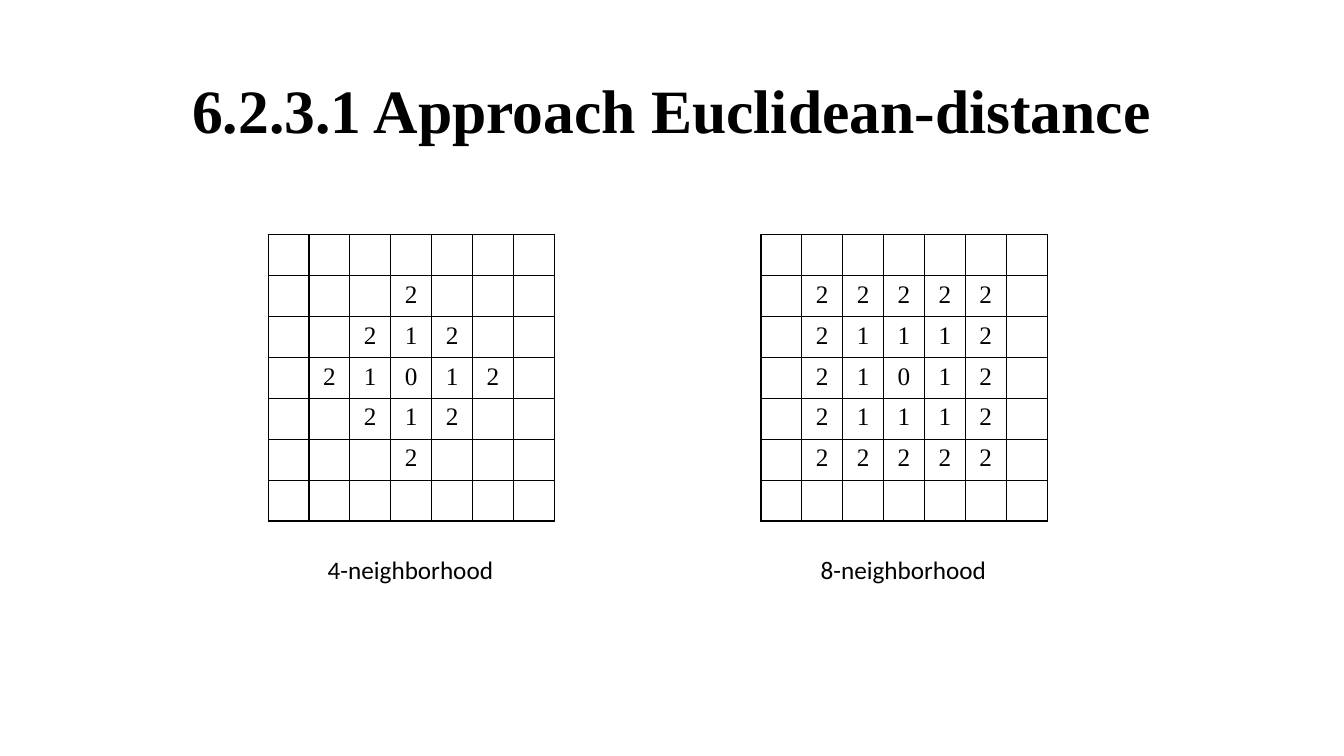
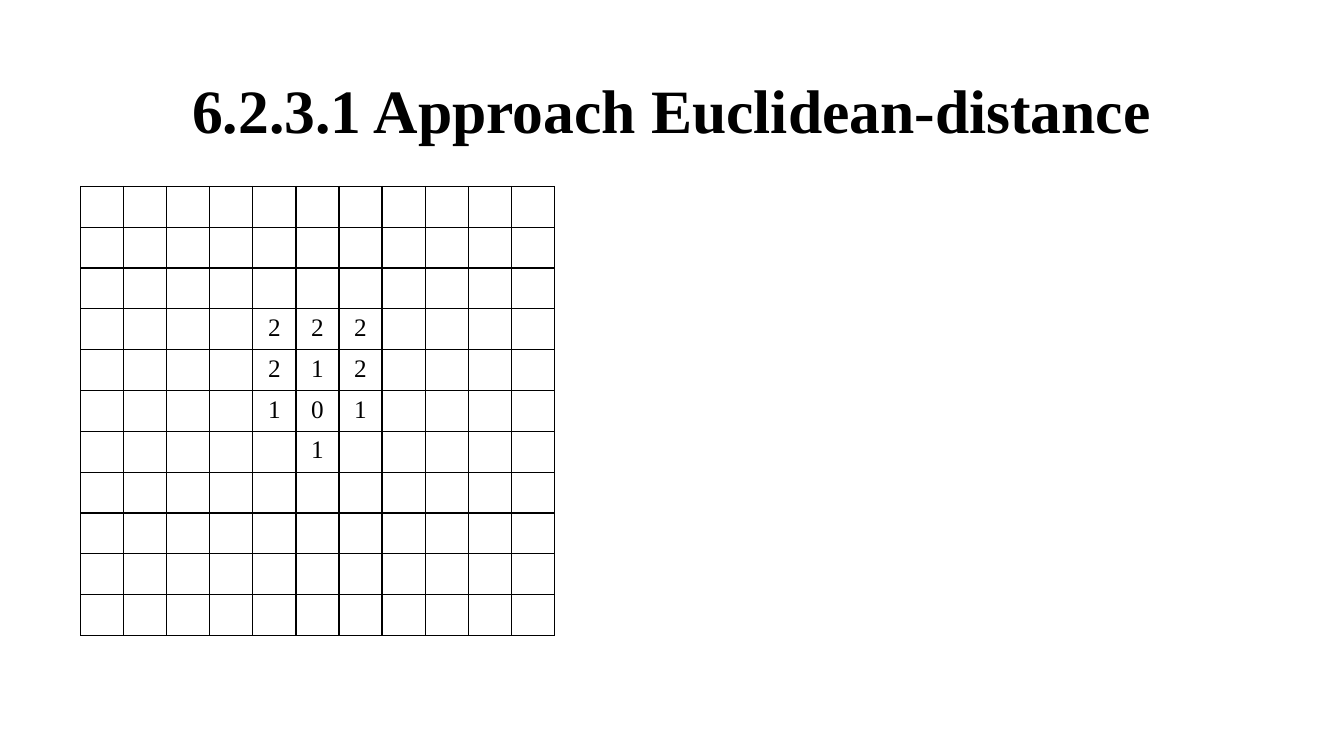
from lxml.etree import SubElement
from pptx import Presentation
from pptx.dml.color import RGBColor
from pptx.enum.text import MSO_ANCHOR, PP_ALIGN
from pptx.oxml.ns import qn
from pptx.util import Inches, Pt

WIDE, HIGH = Inches(13.333), Inches(7.5)
COLORS = {"ink": "000000", "page": "FFFFFF"}
SERIF, SANS = "Times New Roman", "Calibri"
TITLE = "6.2.3.1 Approach Euclidean-distance"

# Each string is a table row; a dot is an empty cell.
FOUR = [
    ".......",
    "...2...",
    "..212..",
    ".21012.",
    "..212..",
    "...2...",
    ".......",
]
EIGHT = [
    ".......",
    ".22222.",
    ".21112.",
    ".21012.",
    ".21112.",
    ".22222.",
    ".......",
]
EMPTY = "." * 11
MIXED = [EMPTY] * 3 + [
    "....222....",
    "....212....",
    "....101....",
    ".....1.....",
] + [EMPTY] * 4


def place(left, top, width, height):
    """Turn percentages of the slide's size into lengths."""
    return (int(WIDE * left / 100), int(HIGH * top / 100),
            int(WIDE * width / 100), int(HIGH * height / 100))


def write(frame, text, size=18, font=SERIF, bold=False,
          align=PP_ALIGN.CENTER, space=None):
    line = frame.paragraphs[0]
    line.alignment = align
    line.line_spacing = space
    run = line.add_run()
    run.text = text
    run.font.name = font
    run.font.size = Pt(size)
    run.font.bold = bold
    run.font.color.rgb = RGBColor.from_string(COLORS["ink"])


def add_text(slide, text, box, anchor=MSO_ANCHOR.TOP, **style):
    frame = slide.shapes.add_textbox(*place(*box)).text_frame
    frame.word_wrap = True
    frame.vertical_anchor = anchor
    write(frame, text, **style)


def frame_cell(cell):
    """Give a cell thin lines on all sides and no fill."""
    props = cell._tc.get_or_add_tcPr()
    for side in ("lnL", "lnR", "lnT", "lnB"):
        line = SubElement(props, qn(f"a:{side}"), w=str(Pt(1)))
        fill = SubElement(line, qn("a:solidFill"))
        SubElement(fill, qn("a:srgbClr"), val=COLORS["ink"])
    cell.fill.background()


def add_grid(slide, lines, box):
    left, top, width, height = place(*box)
    count = len(lines)
    table = slide.shapes.add_table(
        count, len(lines[0]), left, top, width, height).table
    table.first_row = table.horz_banding = False
    for row, line in zip(table.rows, lines):
        row.height = height // count
        for cell, mark in zip(row.cells, line):
            frame_cell(cell)
            if mark != ".":
                write(cell.text_frame, mark)
    for col in table.columns:
        col.width = width // len(lines[0])


def add_slide(deck):
    slide = deck.slides.add_slide(deck.slide_layouts[6])
    fill = slide.background.fill
    fill.solid()
    fill.fore_color.rgb = RGBColor.from_string(COLORS["page"])
    add_text(slide, TITLE, (6.88, 5.33, 86.25, 19.33),
             anchor=MSO_ANCHOR.MIDDLE, size=44, bold=True, space=0.9)
    return slide


def main():
    deck = Presentation()
    deck.slide_width, deck.slide_height = WIDE, HIGH

    pair = add_slide(deck)
    for left, lines, label in ((19.95, FOUR, "4-neighborhood"),
                               (56.62, EIGHT, "8-neighborhood")):
        add_grid(pair, lines, (left, 31.07, 21.3, 37.87))
        add_text(pair, label, (left + 3.7, 72.67, 14.02, 5.33),
                 font=SANS, align=PP_ALIGN.LEFT)

    add_grid(add_slide(deck), MIXED, (6, 24.65, 35.27, 59.47))
    deck.save("out.pptx")


if __name__ == "__main__":
    main()
